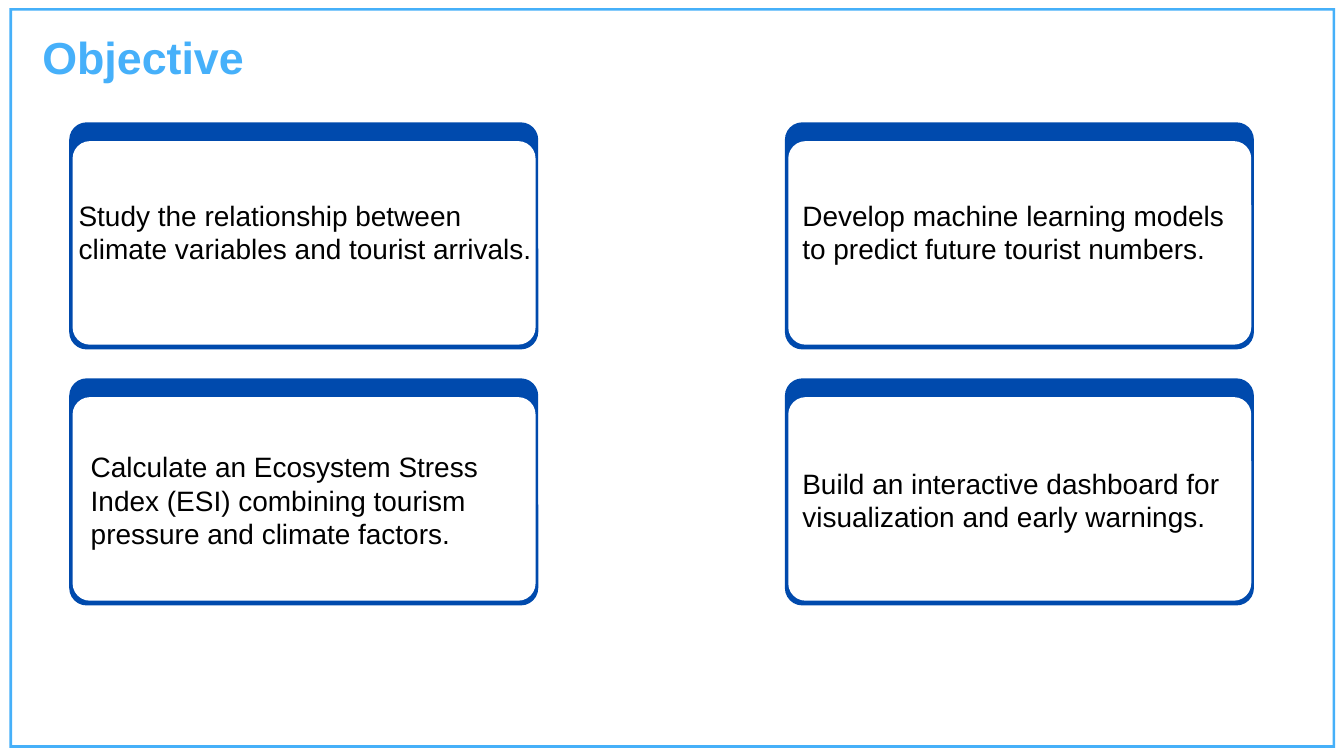
import pptx
import pptx.dml.color
import pptx.enum.shapes
import pptx.util
from pptx.util import Inches, Pt

RGBColor = pptx.dml.color.RGBColor
Shape = pptx.enum.shapes.MSO_SHAPE

SKY = RGBColor(0x46, 0xB0, 0xFA)
FRAME_BLUE = RGBColor(0x46, 0xB0, 0xF9)
NAVY = RGBColor(0x00, 0x4A, 0xAD)
WHITE = RGBColor(0xFF, 0xFF, 0xFF)
BLACK = RGBColor(0x00, 0x00, 0x00)

TITLE = "Objective"
# Column, row, text box (left, top, width, height), wording
OBJECTIVES = [
    (0, 0, (1.17, 2.95, 6.84, 1.02),
     "Study the relationship between climate variables and tourist arrivals."),
    (1, 0, (11.94, 2.95, 6.47, 1.02),
     "Develop machine learning models to predict future tourist numbers."),
    (0, 1, (1.35, 6.69, 6.47, 1.52),
     "Calculate an Ecosystem Stress Index (ESI) combining tourism pressure "
     "and climate factors."),
    (1, 1, (11.94, 6.94, 6.47, 1.02),
     "Build an interactive dashboard for visualization and early warnings."),
]

CARD_LEFT, CARD_TOP = 1.03, 1.82
COLUMN_STEP, ROW_STEP = 10.65, 3.81
CARD_WIDTH, CARD_HEIGHT = 6.98, 3.38
PANEL_WIDTH, PANEL_HEIGHT = 6.89, 3.03
PANEL_INSET, HEADER_HEIGHT = 0.05, 0.28
CORNER_RADIUS = 0.26
FRAME_THICKNESS = 0.04


def add_filled_shape(slide, kind, box, color, corner):
    """Add a borderless shape; corner is the adjusted length in inches."""
    shape = slide.shapes.add_shape(kind, *map(Inches, box))
    shape.adjustments[0] = corner / min(box[2:])
    shape.shadow.inherit = False
    shape.fill.solid()
    shape.fill.fore_color.rgb = color
    shape.line.fill.background()


def add_text(slide, box, text, size, color, bold=False):
    text_frame = slide.shapes.add_textbox(*map(Inches, box)).text_frame
    text_frame.word_wrap = True
    text_frame.margin_left = text_frame.margin_right = 0
    text_frame.margin_top = text_frame.margin_bottom = 0
    text_frame.text = text
    paragraph = text_frame.paragraphs[0]
    paragraph.line_spacing = Pt(size * 1.2)
    font = paragraph.runs[0].font
    font.name = "Arial"
    font.size = Pt(size)
    font.bold = bold
    font.color.rgb = color


def add_card(slide, column, row):
    left = CARD_LEFT + column * COLUMN_STEP
    top = CARD_TOP + row * ROW_STEP
    add_filled_shape(slide, Shape.ROUNDED_RECTANGLE,
                     (left, top, CARD_WIDTH, CARD_HEIGHT), NAVY, CORNER_RADIUS)
    add_filled_shape(slide, Shape.ROUNDED_RECTANGLE,
                     (left + PANEL_INSET, top + HEADER_HEIGHT,
                      PANEL_WIDTH, PANEL_HEIGHT), WHITE, CORNER_RADIUS)


def main():
    presentation = pptx.Presentation()
    presentation.slide_width = Inches(20)
    presentation.slide_height = Inches(11.25)
    slide = presentation.slides.add_slide(presentation.slide_layouts[6])

    add_filled_shape(slide, Shape.FRAME, (0.14, 0.12, 19.73, 11.01),
                     FRAME_BLUE, FRAME_THICKNESS)
    add_text(slide, (0.63, 0.44, 12.15, 0.88), TITLE, 48, SKY, bold=True)
    for column, row, text_box, text in OBJECTIVES:
        add_card(slide, column, row)
        add_text(slide, text_box, text, 30, BLACK)

    presentation.save("out.pptx")


if __name__ == "__main__":
    main()
